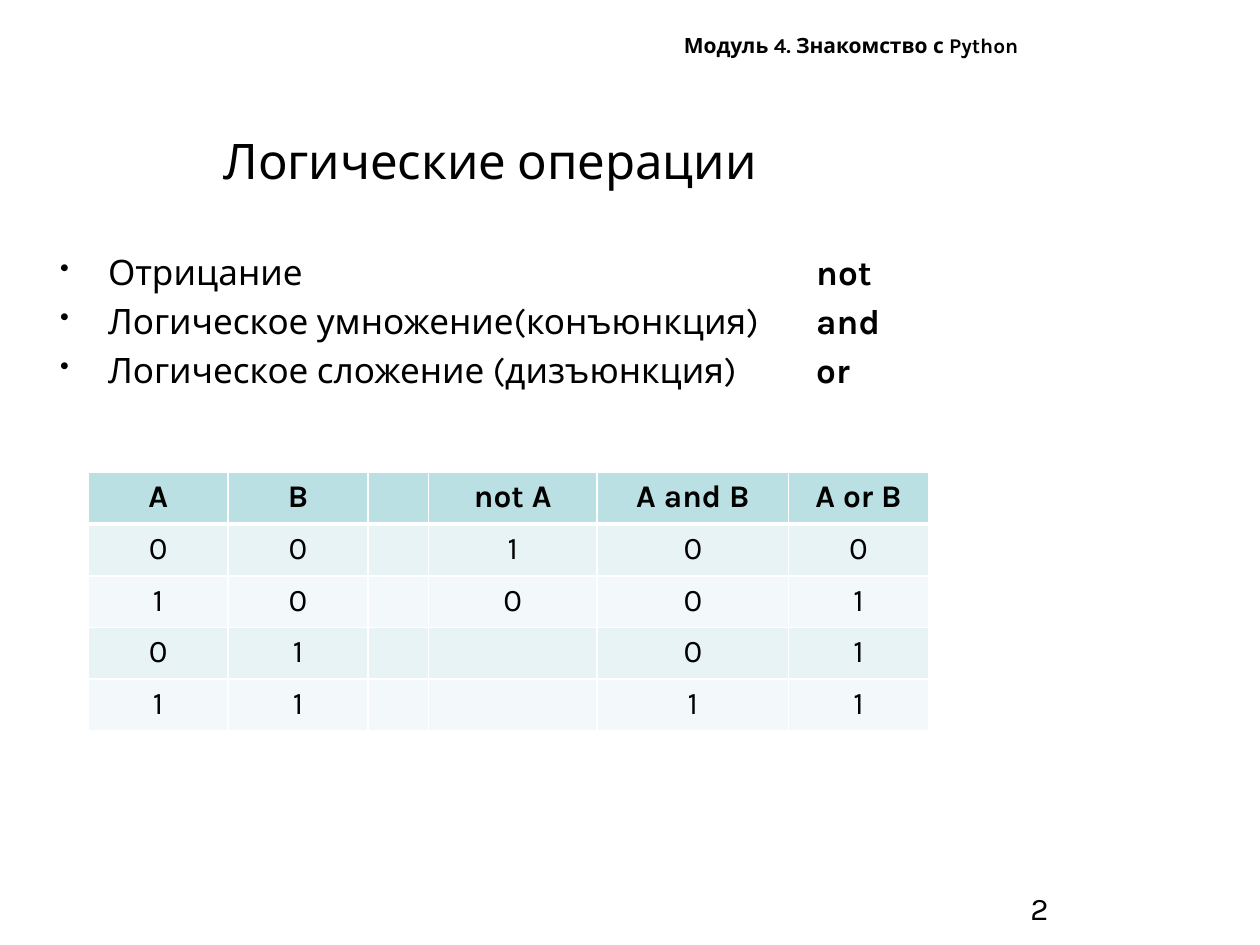
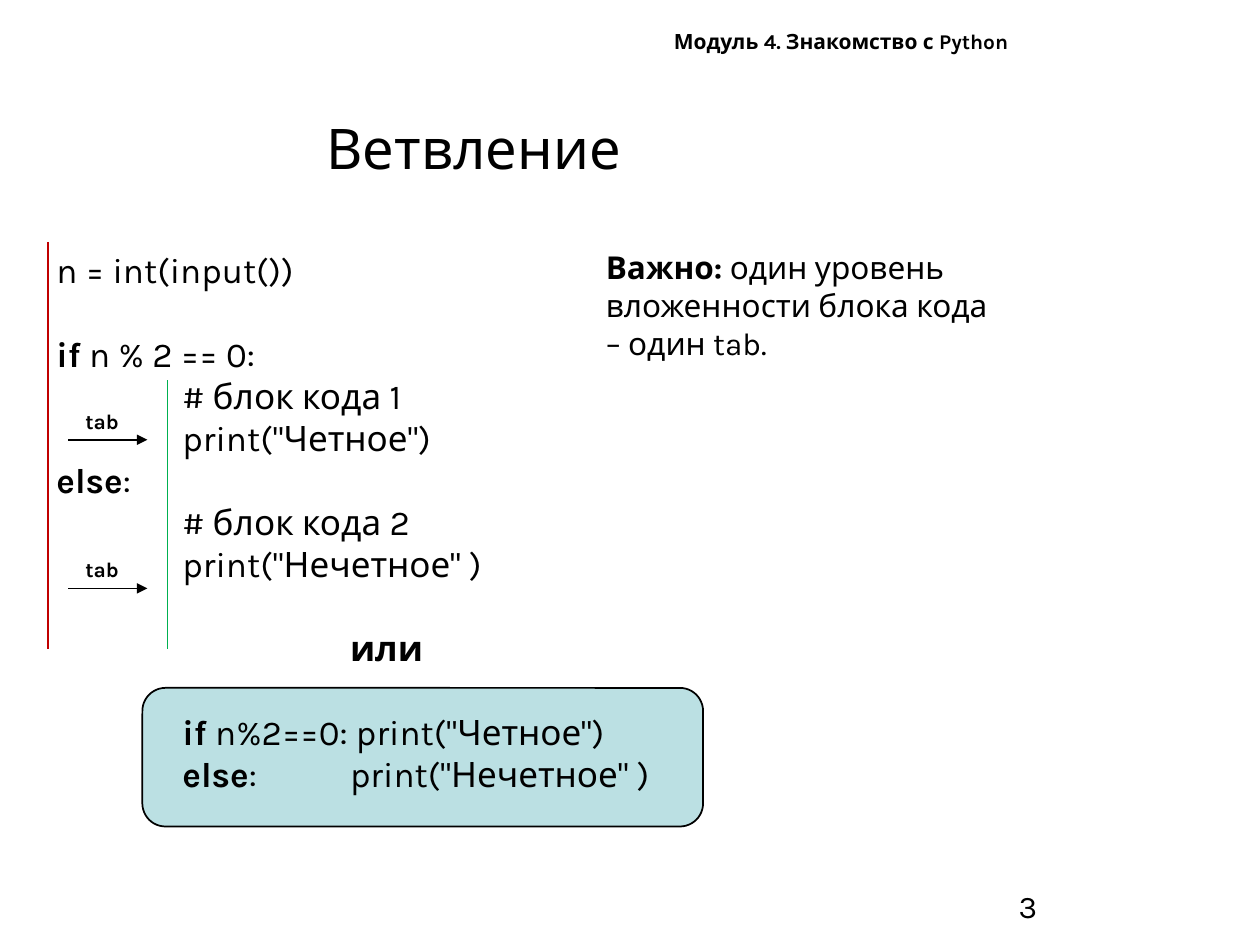
from lxml import etree
from pptx import Presentation
from pptx.dml.color import RGBColor
from pptx.enum.shapes import MSO_CONNECTOR, MSO_SHAPE
from pptx.enum.text import MSO_ANCHOR, PP_ALIGN
from pptx.oxml.ns import qn
from pptx.util import Inches, Pt

LEFT, CENTER, RIGHT = PP_ALIGN.LEFT, PP_ALIGN.CENTER, PP_ALIGN.RIGHT
TOP, MIDDLE = MSO_ANCHOR.TOP, MSO_ANCHOR.MIDDLE
STRAIGHT, ROUNDED = MSO_CONNECTOR.STRAIGHT, MSO_SHAPE.ROUNDED_RECTANGLE

FONT = "Karla"
COLORS = {
    "text": "000000",
    "border": "FFFFFF",
    "accent": "BBE0E3",
    "odd_row": "E7F3F4",
    "even_row": "F3F9FA",
    "outer_level": "C00000",
    "inner_level": "00B050",
}


def color(name):
    return RGBColor.from_string(COLORS[name])


class SlideBuilder:
    """Holds the deck, its style and the current slide."""

    def __init__(self):
        self.deck = Presentation()
        self.deck.slide_width = Inches(10)
        self.deck.slide_height = Inches(7.5)
        self.page = None

    def new_page(self, title, title_width, title_height, title_size,
                 header_at, number_at):
        self.page = self.deck.slides.add_slide(self.deck.slide_layouts[6])
        self.text((*number_at, 2.33, 0.52), [str(len(self.deck.slides) + 1)],
                  18, align=RIGHT)
        self.text((0, 0.81, title_width, title_height), [title], title_size,
                  align=CENTER, anchor=MIDDLE)
        self.text((*header_at, 2.94, 0.3), ["*Модуль 4. Знакомство с Python*"],
                  12, wrap=False)

    def fill_para(self, para, content, size, align=LEFT, before=0, tabs=(),
                  bullet_indent=0):
        """Fill a paragraph; parts between asterisks are bold."""
        props = para._p.get_or_add_pPr()
        if bullet_indent:
            props.set("marL", str(Inches(bullet_indent)))
            props.set("indent", str(-Inches(bullet_indent)))
            etree.SubElement(props, qn("a:buSzPct"), val="75000")
            etree.SubElement(props, qn("a:buChar"), char="•")
        if tabs:
            stops = etree.SubElement(props, qn("a:tabLst"))
            for stop in tabs:
                etree.SubElement(stops, qn("a:tab"), pos=str(Inches(stop)),
                                 algn="l")
        para.alignment = align
        para.space_before = Pt(before)
        para.font.name = FONT
        para.font.size = Pt(size)
        para.font.color.rgb = color("text")
        for index, part in enumerate(content.split("*")):
            if part:
                span = para.add_run()
                span.text = part
                if index % 2:
                    span.font.bold = True

    def text(self, place, lines, size, align=LEFT, anchor=TOP, wrap=True,
             gaps=None, before=0, **style):
        """Add a text box; gaps maps a line index to its own space before."""
        box = self.page.shapes.add_textbox(*map(Inches, place))
        frame = box.text_frame
        frame.word_wrap = wrap
        frame.vertical_anchor = anchor
        for index, line in enumerate(lines):
            para = frame.add_paragraph() if index else frame.paragraphs[0]
            self.fill_para(para, line, size, align,
                           (gaps or {}).get(index, before), **style)

    def panel(self, place):
        shape = self.page.shapes.add_shape(ROUNDED, *map(Inches, place))
        shape.shadow.inherit = False
        shape.fill.solid()
        shape.fill.fore_color.rgb = color("accent")
        shape.line.color.rgb = color("text")
        shape.line.width = Pt(1)

    def line(self, start, end, line_color, arrow=False):
        line = self.page.shapes.add_connector(
            STRAIGHT, *map(Inches, (*start, *end)))
        line.line.color.rgb = color(line_color)
        line.line.width = Pt(1)
        if arrow:
            etree.SubElement(line.line._get_or_add_ln(), qn("a:tailEnd"),
                             type="triangle")
        etree.SubElement(line._element.spPr, qn("a:effectLst"))

    def border(self, cell, bottom):
        props = cell._tc.get_or_add_tcPr()
        widths = {"a:lnL": 1, "a:lnR": 1, "a:lnT": 1, "a:lnB": bottom}
        for index, (side, width) in enumerate(widths.items()):
            edge = etree.Element(qn(side), w=str(Pt(width)))
            fill = etree.SubElement(edge, qn("a:solidFill"))
            etree.SubElement(fill, qn("a:srgbClr"), val=COLORS["border"])
            props.insert(index, edge)

    def table(self, left, top, widths, row_height, rows):
        frame = self.page.shapes.add_table(
            len(rows), len(widths), Inches(left), Inches(top),
            Inches(sum(widths)), Inches(row_height * len(rows)))
        table = frame.table
        for column, width in zip(table.columns, widths):
            column.width = Inches(width)
        for row_index, values in enumerate(rows):
            table.rows[row_index].height = Inches(row_height)
            header = row_index == 0
            band = "odd_row" if row_index % 2 else "even_row"
            for column_index, value in enumerate(values):
                cell = table.cell(row_index, column_index)
                cell.fill.solid()
                cell.fill.fore_color.rgb = color("accent" if header else band)
                self.border(cell, 3 if header else 1)
                content = f"*{value}*" if header else value
                self.fill_para(cell.text_frame.paragraphs[0], content, 18,
                               CENTER)


def logic_page(builder):
    builder.new_page("Логические операции", 7.78, 0.92, 28,
                     header_at=(5.33, 0.21), number_at=(6.09, 7.01))
    # Operations and their keywords
    operations = [
        "Отрицание\t*not*",
        "Логическое умножение(конъюнкция)\t*and*",
        "Логическое сложение (дизъюнкция)\t*or*",
    ]
    builder.text((0.38, 1.94, 8.16, 1.5), operations, 20, before=4,
                 tabs=[6], bullet_indent=0.38)
    # Truth table
    truth_rows = [
        ["A", "B", "", "not A", "A and B", "A or B"],
        ["0", "0", "", "1", "0", "0"],
        ["1", "0", "", "0", "0", "1"],
        ["0", "1", "", "", "0", "1"],
        ["1", "1", "", "", "1", "1"],
    ]
    builder.table(0.7, 3.75, [1.11, 1.11, 0.48, 1.34, 1.52, 1.11], 0.41,
                  truth_rows)


def branching_page(builder):
    builder.new_page("Ветвление", 7.52, 0.71, 32,
                     header_at=(5.25, 0.18), number_at=(6, 6.99))
    # Code, with the short form on a panel
    builder.panel((1.13, 5.46, 4.45, 1.1))
    code = [
        "n = int(input())",
        "*if* n % 2 == 0:",
        "\t# блок кода 1",
        '\tprint("Четное")',
        "*else*:",
        "\t# блок кода 2",
        '\tprint("Нечетное" )',
        "\t\t*или*",
        '\t*if* n%2==0: print("Четное")',
        '\t*else*:\tprint("Нечетное" )',
    ]
    builder.text((0.35, 1.92, 6.14, 4.81), code, 20, tabs=[1, 2.33],
                 gaps={1: 24, 7: 24, 8: 24})
    # Nesting levels
    level_bottom = 5.15
    builder.line((0.38, 1.92), (0.38, level_bottom), "outer_level")
    builder.line((1.33, 3.02), (1.33, level_bottom), "inner_level")
    for arrow_y in (3.49, 4.67):
        builder.line((0.54, arrow_y), (1.17, arrow_y), "text", arrow=True)
        builder.text((0.58, arrow_y - 0.3, 0.55, 0.3), ["*tab*"], 12)
    # Note
    note = "*Важно:* один уровень вложенности блока кода – один tab."
    builder.text((4.71, 1.92, 3.27, 1.01), [note], 18)


def main():
    builder = SlideBuilder()
    logic_page(builder)
    branching_page(builder)
    builder.deck.save("out.pptx")


if __name__ == "__main__":
    main()
